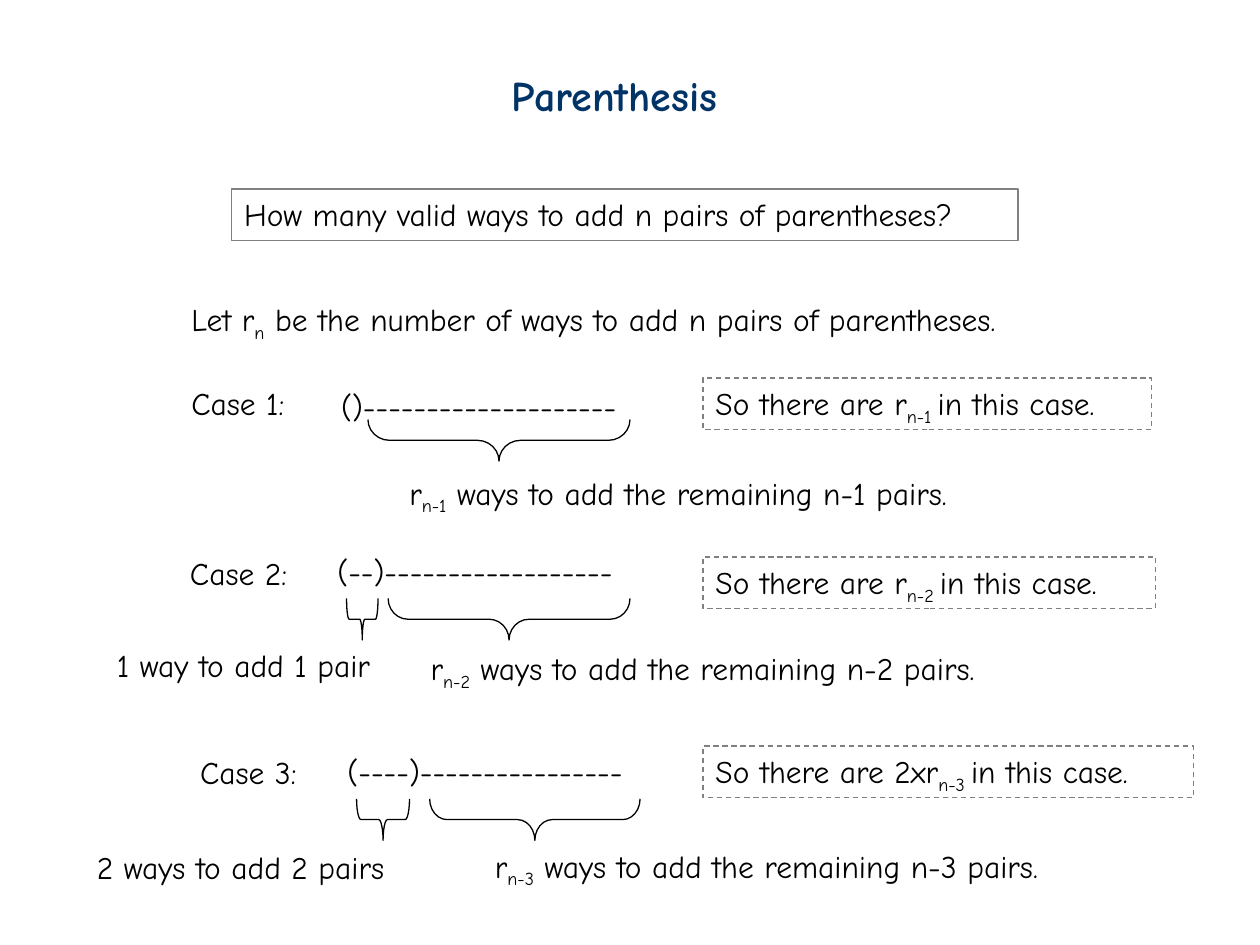
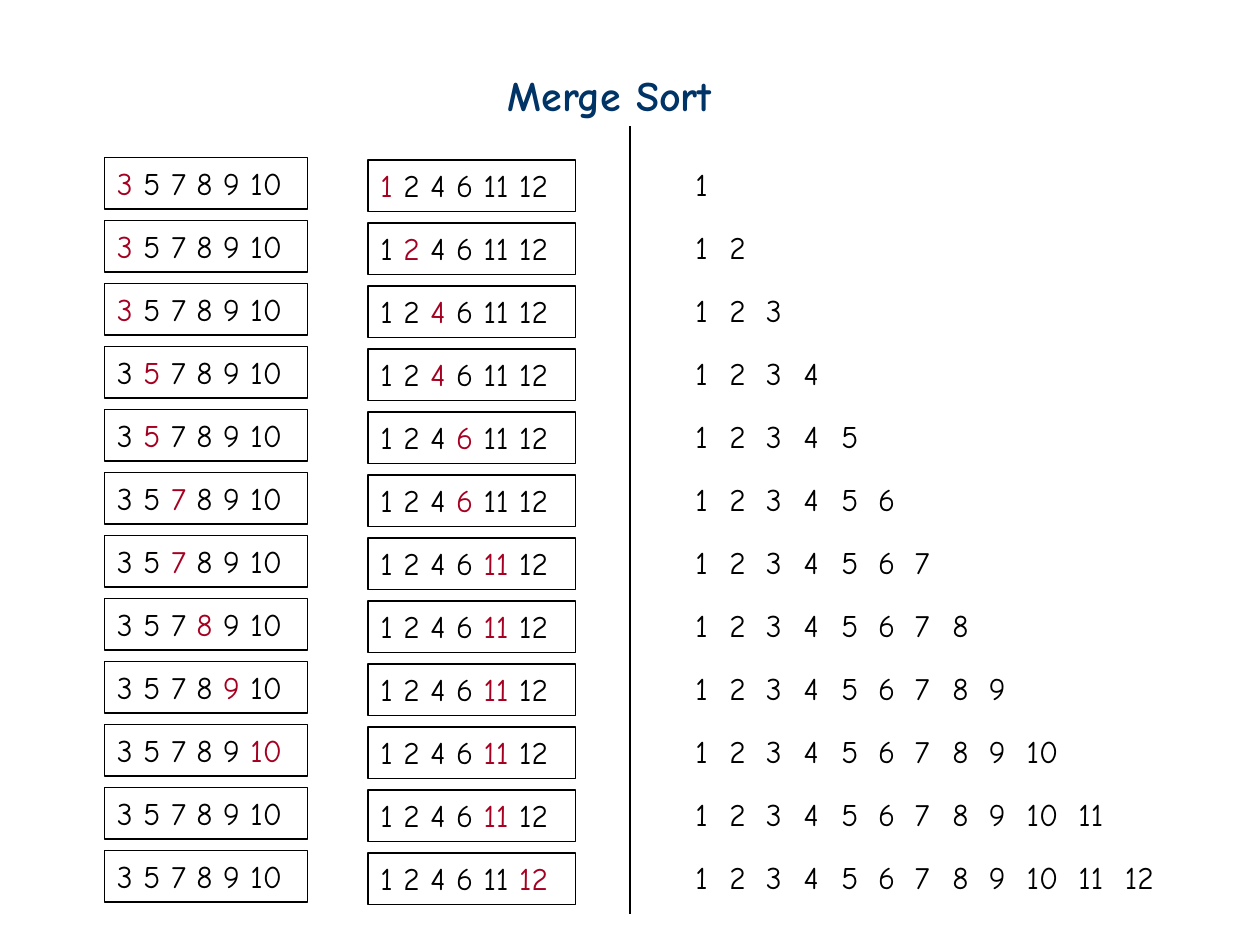
from dataclasses import dataclass

from lxml.etree import SubElement
from pptx import Presentation
from pptx.dml.color import RGBColor
from pptx.enum.dml import MSO_LINE_DASH_STYLE as Dash
from pptx.enum.shapes import MSO_CONNECTOR as Connector
from pptx.enum.shapes import MSO_SHAPE as Preset
from pptx.enum.text import MSO_ANCHOR as Anchor
from pptx.enum.text import PP_ALIGN as Align
from pptx.oxml import parse_xml
from pptx.oxml.ns import nsdecls, qn
from pptx.util import Inches, Pt


@dataclass(frozen=True)
class Theme:
    font: str = "Comic Neue"
    title: RGBColor = RGBColor(0x00, 0x33, 0x66)
    ink: RGBColor = RGBColor(0, 0, 0)
    accent: RGBColor = RGBColor(0xA5, 0x00, 0x21)
    frame: RGBColor = RGBColor(0x80, 0x80, 0x80)
    title_size: int = 24
    body_size: int = 18
    line_width: float = 0.75
    text_height: float = 0.4
    frame_height: float = 0.41


THEME = Theme()

# Text between bars is a subscript on the first slide and a highlight on the second.
QUESTION = (1.84, 1.5, 6.24, "How many valid ways to add n pairs of parentheses?")
LABELS = [
    (1.42, 2.33, 7.18, "Let r|n| be the number of ways to add n pairs of parentheses."),
    (1.42, 3, 1, "Case 1:"),
    (2.61, 3.02, 2.47, "()--------------------"),
    (3.15, 3.71, 4.79, "r|n-1| ways to add the remaining n-1 pairs."),
    (1.41, 4.35, 1.04, "Case 2:"),
    (2.58, 4.33, 2.47, "(--)------------------"),
    (0.83, 5.08, 2.36, "1 way to add 1 pair"),
    (3.32, 5.1, 4.86, "r|n-2| ways to add the remaining n-2 pairs."),
    (1.49, 5.93, 1.04, "Case 3:"),
    (2.66, 5.92, 2.47, "(----)----------------"),
    (0.67, 6.68, 2.68, "2 ways to add 2 pairs"),
    (3.83, 6.67, 4.86, "r|n-3| ways to add the remaining n-3 pairs."),
]
CONCLUSIONS = [
    (5.58, 3, 3.56, "So there are r|n-1 |in this case."),
    (5.58, 4.42, 3.59, "So there are r|n-2 |in this case."),
    (5.58, 5.92, 3.89, "So there are 2xr|n-3 |in this case."),
]
BRACES = [
    (2.92, 3.33, 2.08),
    (2.75, 4.75, 0.25),
    (3.08, 4.75, 1.92),
    (2.83, 6.34, 0.42),
    (3.41, 6.34, 1.67),
]
BRACE_DEPTH = 0.33

LEFT_LIST = (3, 5, 7, 8, 9, 10)
RIGHT_LIST = (1, 2, 4, 6, 11, 12)
CURSORS = [
    (0, 0), (0, 1), (0, 2), (1, 2), (1, 3), (2, 3),
    (2, 4), (3, 4), (4, 4), (5, 4), (None, 4), (None, 5),
]
ROW_PITCH = 0.5
RESULT_TABS = [round(0.27 + 0.295 * i, 2) for i in range(9)] + [3.04, 3.41]


def subscript(span):
    span.font._element.set("baseline", "-25000")


def highlight(span):
    span.font.color.rgb = THEME.accent


def write(box, text, mark=subscript, size=THEME.body_size, color=THEME.ink, bold=False):
    frame = box.text_frame
    frame.word_wrap = True
    frame.vertical_anchor = Anchor.TOP
    para = frame.paragraphs[0]
    para.alignment = Align.LEFT
    para.font.name = THEME.font
    para.font.size = Pt(size)
    para.font.bold = bold
    para.font.color.rgb = color
    for index, part in enumerate(text.split("|")):
        if part:
            span = para.add_run()
            span.text = part
            if index % 2:
                mark(span)
    return para


def add_label(page, left, top, width, text, height=THEME.text_height, **style):
    box = page.shapes.add_textbox(Inches(left), Inches(top), Inches(width), Inches(height))
    return write(box, text, **style)


def outline(shape, color):
    shape.shadow.inherit = False
    shape.fill.background()
    shape.line.color.rgb = color
    shape.line.width = Pt(THEME.line_width)


def add_framed(page, left, top, width, text, color=THEME.frame, dash=None, mark=subscript):
    box = page.shapes.add_shape(
        Preset.RECTANGLE, Inches(left), Inches(top), Inches(width), Inches(THEME.frame_height)
    )
    outline(box, color)
    if dash:
        box.line.dash_style = dash
    write(box, text, mark)


def add_brace(page, left, top, span):
    center_x, center_y = left + span / 2, top + BRACE_DEPTH / 2
    brace = page.shapes.add_shape(
        Preset.RIGHT_BRACE,
        Inches(center_x - BRACE_DEPTH / 2),
        Inches(center_y - span / 2),
        Inches(BRACE_DEPTH),
        Inches(span),
    )
    brace.rotation = 90
    brace.adjustments[0] = span / 4 * BRACE_DEPTH / min(span, BRACE_DEPTH)
    outline(brace, THEME.ink)


def add_divider(page, x, top, bottom):
    divider = page.shapes.add_connector(
        Connector.STRAIGHT, Inches(x), Inches(top), Inches(x), Inches(bottom)
    )
    divider.line.color.rgb = THEME.ink
    divider.line.width = Pt(THEME.line_width)
    SubElement(divider._element.spPr, qn("a:effectLst"))


def set_tabs(para, stops):
    tabs = "".join(f'<a:tab pos="{Inches(stop)}" algn="l"/>' for stop in stops)
    tab_list = parse_xml(f'<a:tabLst {nsdecls("a")}>{tabs}</a:tabLst>')
    para._p.get_or_add_pPr().insert(0, tab_list)


def add_page(deck, title, title_left):
    page = deck.slides.add_slide(deck.slide_layouts[6])
    add_label(
        page, title_left, 0.5, 2.07, title, height=0.5,
        size=THEME.title_size, color=THEME.title, bold=True,
    )
    return page


def mark_cursor(numbers, cursor):
    return " ".join(f"|{n}|" if i == cursor else str(n) for i, n in enumerate(numbers))


def build_parenthesis(deck):
    page = add_page(deck, "Parenthesis", 3.96)
    add_framed(page, *QUESTION)
    for label in LABELS:
        add_label(page, *label)
    for brace in BRACES:
        add_brace(page, *brace)
    for conclusion in CONCLUSIONS:
        add_framed(page, *conclusion, dash=Dash.DASH)


def build_merge_sort(deck):
    page = add_page(deck, "Merge Sort", 3.93)
    add_divider(page, 5, 1, 7.25)
    for row, (left_cursor, right_cursor) in enumerate(CURSORS):
        offset = row * ROW_PITCH
        for left, top, width, numbers, cursor in (
            (0.83, 1.25, 1.61, LEFT_LIST, left_cursor),
            (2.92, 1.27, 1.65, RIGHT_LIST, right_cursor),
        ):
            text = mark_cursor(numbers, cursor)
            add_framed(page, left, top + offset, width, text, THEME.ink, mark=highlight)
        merged = sorted(LEFT_LIST + RIGHT_LIST)[: row + 1]
        para = add_label(page, 5.42, 1.26 + offset, 4.08, "\t".join(map(str, merged)))
        set_tabs(para, RESULT_TABS[:row])


def main():
    deck = Presentation()
    deck.slide_width, deck.slide_height = Inches(10), Inches(7.5)
    build_parenthesis(deck)
    build_merge_sort(deck)
    deck.save("out.pptx")


if __name__ == "__main__":
    main()
